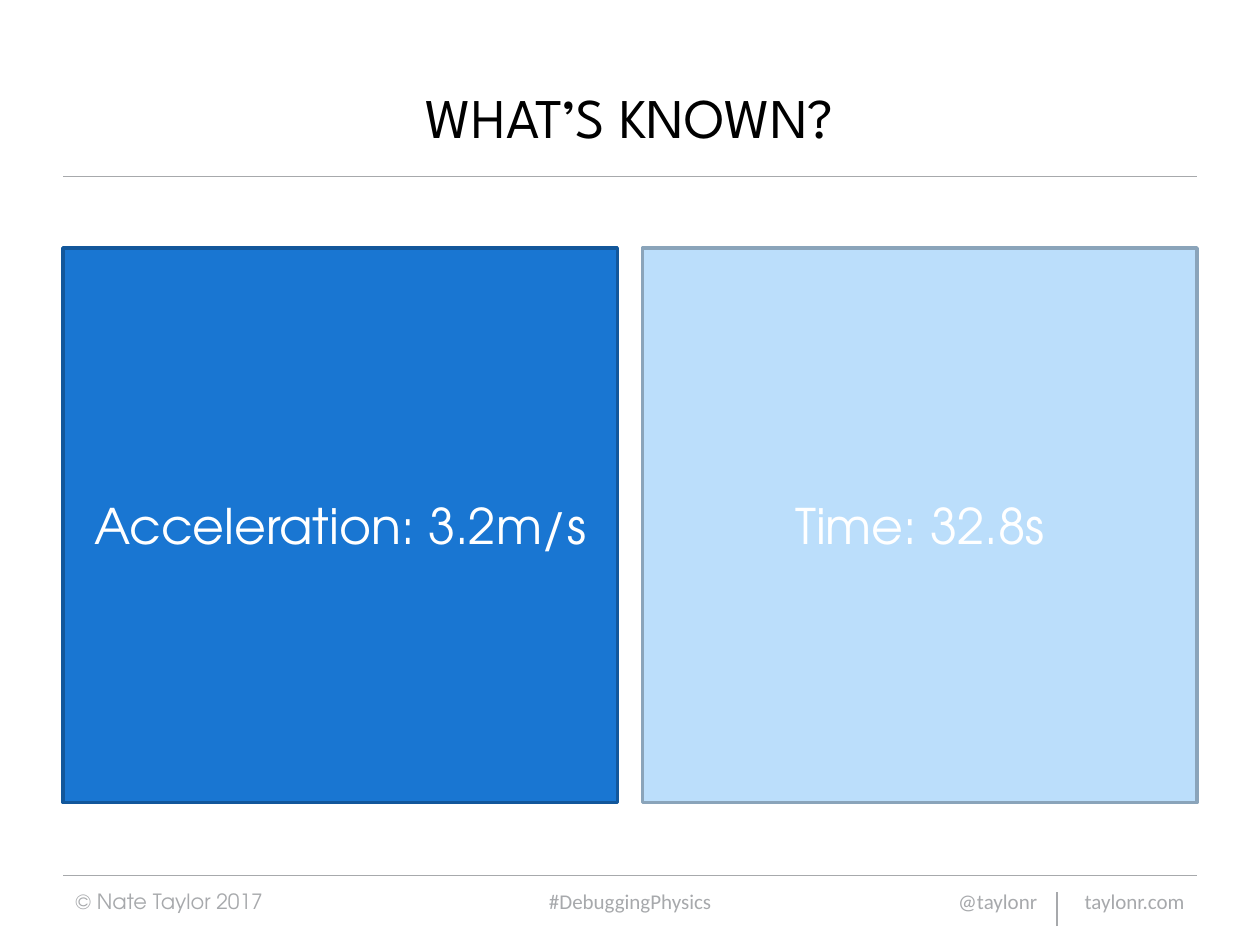
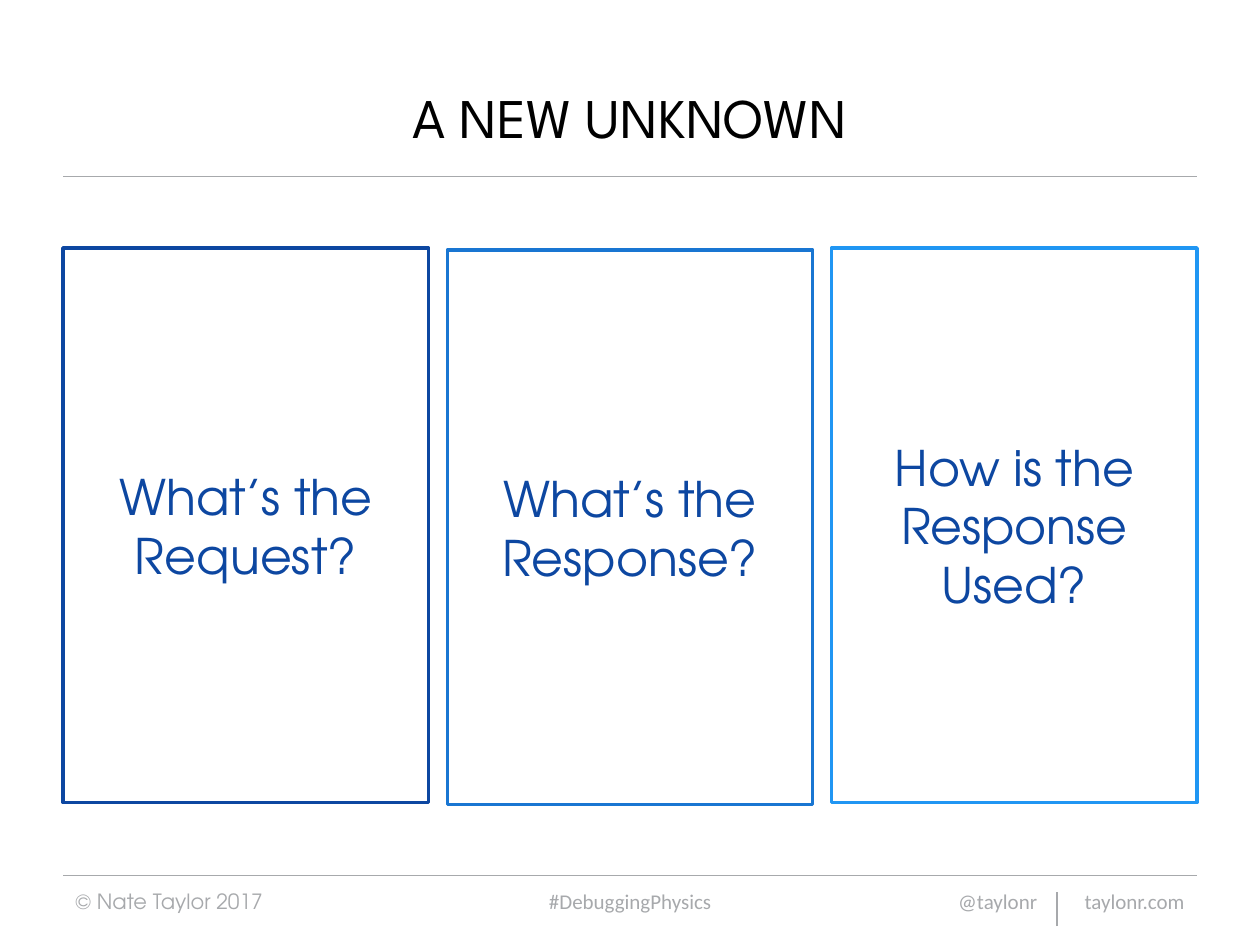
from dataclasses import dataclass

from lxml import etree
from pptx import Presentation
from pptx.dml.color import RGBColor
from pptx.enum.shapes import MSO_CONNECTOR, MSO_SHAPE
from pptx.enum.text import MSO_ANCHOR, MSO_AUTO_SIZE, PP_ALIGN
from pptx.oxml.ns import qn
from pptx.util import Cm, Pt

STRAIGHT = MSO_CONNECTOR.STRAIGHT
RECT = MSO_SHAPE.RECTANGLE
MIDDLE = MSO_ANCHOR.MIDDLE
NO_FIT = MSO_AUTO_SIZE.NONE
LEFT, CENTER, RIGHT = PP_ALIGN.LEFT, PP_ALIGN.CENTER, PP_ALIGN.RIGHT

# Shared look, lengths in centimetres
COLORS = {
    "white": "FFFFFF", "black": "000000", "gray": "A7A9AC",
    "navy": "0D47A1", "blue": "1976D2", "sky": "2096F3", "pale": "BBDEFB",
    "blue_edge": "12579B", "pale_edge": "8AA4BA",
}
SLIDE_W, SLIDE_H = 25.4, 19.05
MARGIN = 1.27
CONTENT_W = SLIDE_W - 2 * MARGIN
CARD_TOP, CARD_H = 5.0, 11.18
FOOTER_TOP, FOOTER_H = 17.65, 1.02


@dataclass
class TextStyle:
    font: str
    size: int
    color: str
    align: PP_ALIGN = CENTER


@dataclass
class Rule:
    x1: float
    y1: float
    x2: float
    y2: float


@dataclass
class FooterItem:
    text: str
    left: float
    width: float
    style: TextStyle


@dataclass
class Card:
    text: str
    fill: str
    edge: str
    color: str
    drop: float = 0


@dataclass
class CardSlide:
    title: str
    gap: float
    cards: list[Card]


TITLE_STYLE = TextStyle("League Spartan", 32, "black")

RULES = [
    Rule(MARGIN, 3.56, SLIDE_W - MARGIN, 3.56),
    Rule(MARGIN, FOOTER_TOP, SLIDE_W - MARGIN, FOOTER_TOP),
    Rule(21.31, 18.67, 21.31, 17.98),
]

FOOTER = [
    FooterItem("#DebuggingPhysics", 8.41, 8.59, TextStyle("Calibri", 12, "gray")),
    FooterItem("@taylonr", 18.21, 2.95, TextStyle("Calibri", 12, "gray", RIGHT)),
    FooterItem("taylonr.com", 21.31, 2.82, TextStyle("Calibri", 12, "gray", RIGHT)),
    FooterItem("© Nate Taylor 2017", MARGIN, 5.92,
               TextStyle("TeX Gyre Adventor", 12, "gray", LEFT)),
]

SLIDES = [
    CardSlide("WHAT’S KNOWN?", 0.51, [
        Card("Acceleration: 3.2m/s", "blue", "blue_edge", "white"),
        Card("Time: 32.8s", "pale", "pale_edge", "white"),
    ]),
    CardSlide("A NEW UNKNOWN", 0.38, [
        Card("What’s the Request?", "white", "navy", "navy"),
        Card("What’s the Response?", "white", "blue", "navy", drop=0.04),
        Card("How is the Response Used?", "white", "sky", "navy"),
    ]),
]


def rgb(name: str) -> RGBColor:
    return RGBColor.from_string(COLORS[name])


def write(sp, text: str, style: TextStyle) -> None:
    """Put one styled paragraph in a shape, centred vertically."""
    tf = sp.text_frame
    frame_format = {"word_wrap": True, "auto_size": NO_FIT, "vertical_anchor": MIDDLE}
    for name, value in frame_format.items():
        setattr(tf, name, value)
    p = tf.paragraphs[0]
    p.alignment = style.align
    r = p.add_run()
    r.text = text
    for name, value in {"name": style.font, "size": Pt(style.size), "bold": False}.items():
        setattr(r.font, name, value)
    r.font.color.rgb = rgb(style.color)


def add_title(s, text: str) -> None:
    sp = s.shapes.title
    place = {"left": MARGIN, "top": 0.76, "width": CONTENT_W, "height": 3.18}
    for name, value in place.items():
        setattr(sp, name, Cm(value))
    write(sp, text, TITLE_STYLE)


def add_rule(s, rule: Rule) -> None:
    line = s.shapes.add_connector(
        STRAIGHT, Cm(rule.x1), Cm(rule.y1), Cm(rule.x2), Cm(rule.y2))
    line.line.color.rgb = rgb("gray")
    line.line.width = Pt(1)
    etree.SubElement(line._element.spPr, qn("a:effectLst"))


def add_footer_item(s, item: FooterItem) -> None:
    sp = s.shapes.add_textbox(
        Cm(item.left), Cm(FOOTER_TOP), Cm(item.width), Cm(FOOTER_H))
    write(sp, item.text, item.style)


def add_card(s, card: Card, left: float, width: float) -> None:
    sp = s.shapes.add_shape(
        RECT, Cm(left), Cm(CARD_TOP + card.drop), Cm(width), Cm(CARD_H))
    sp.shadow.inherit = False
    sp.fill.solid()
    sp.fill.fore_color.rgb = rgb(card.fill)
    sp.line.color.rgb = rgb(card.edge)
    sp.line.width = Pt(2)
    write(sp, card.text, TextStyle("TeX Gyre Adventor", 28, card.color))


def add_card_slide(prs, content: CardSlide) -> None:
    s = prs.slides.add_slide(prs.slide_layouts.get_by_name("Title Only"))
    for rule in RULES:
        add_rule(s, rule)
    add_title(s, content.title)

    # Equal cards across the content width
    count = len(content.cards)
    width = (CONTENT_W - (count - 1) * content.gap) / count
    for i, card in enumerate(content.cards):
        add_card(s, card, MARGIN + i * (width + content.gap), width)

    for item in FOOTER:
        add_footer_item(s, item)


def main() -> None:
    prs = Presentation()
    prs.slide_width, prs.slide_height = Cm(SLIDE_W), Cm(SLIDE_H)
    for content in SLIDES:
        add_card_slide(prs, content)
    prs.save("out.pptx")


if __name__ == "__main__":
    main()
